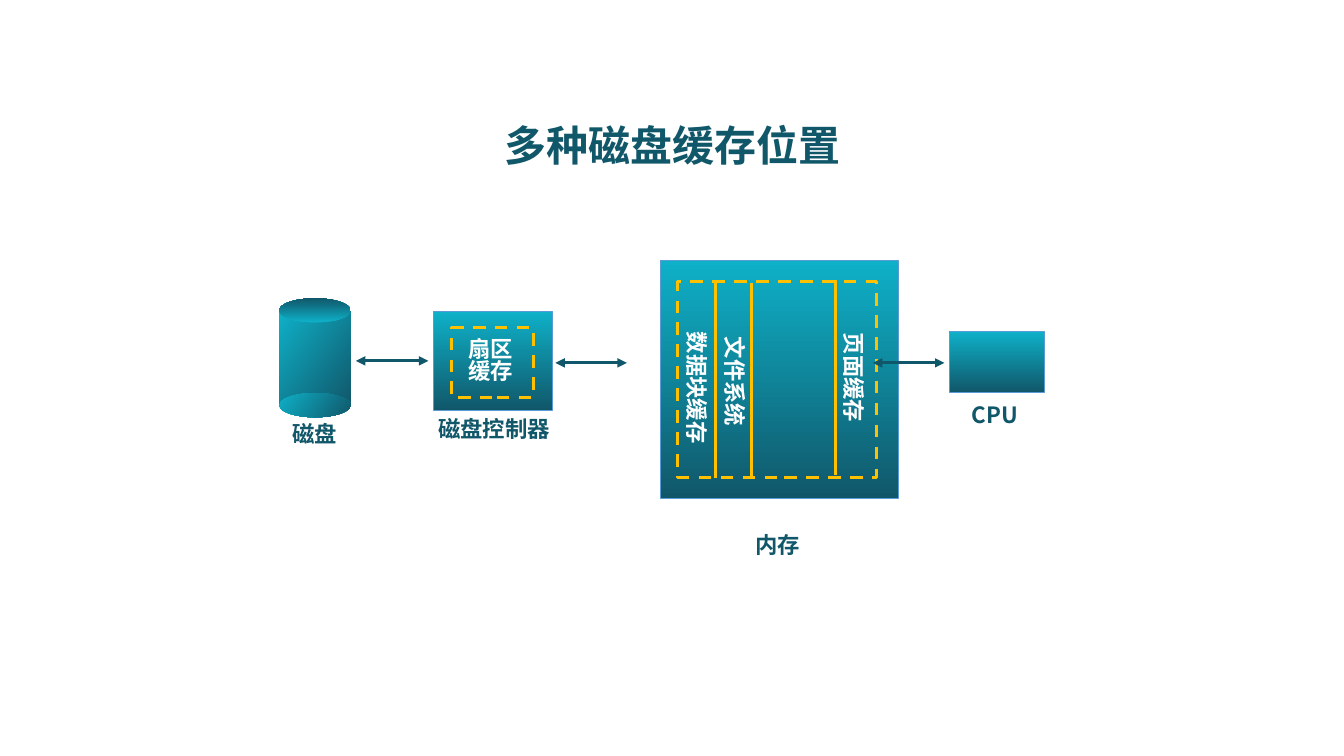
"""Build a slide showing where disk caches sit between disk and CPU."""
from dataclasses import dataclass

from lxml.etree import SubElement
from pptx import Presentation
from pptx.dml.color import RGBColor
from pptx.enum.dml import MSO_LINE_DASH_STYLE as Dash
from pptx.enum.shapes import MSO_CONNECTOR as Connector, MSO_SHAPE as Shape
from pptx.enum.text import MSO_ANCHOR as Anchor, MSO_AUTO_SIZE as AutoSize, PP_ALIGN as Align
from pptx.oxml.ns import qn
from pptx.util import Pt


@dataclass(frozen=True)
class Theme:
    """Colours, type sizes and line widths of the slide."""
    font: str = "Noto Sans CJK SC"
    dark: RGBColor = RGBColor(0x11, 0x57, 0x6A)
    light: RGBColor = RGBColor(0x0E, 0xB1, 0xC8)
    outline: RGBColor = RGBColor(0x5B, 0x9B, 0xD5)
    cache: RGBColor = RGBColor(0xFF, 0xC0, 0x00)
    white: RGBColor = RGBColor(0xFF, 0xFF, 0xFF)
    title_size: int = 30
    label_size: int = 16
    thin: float = 0.5
    thick: float = 2.25


THEME = Theme()


def points(*lengths):
    """Convert numbers to point lengths."""
    return [Pt(length) for length in lengths]


def format_paragraph(paragraph, size, color, align):
    """Apply the bold theme font to a paragraph, for Latin and Chinese text."""
    paragraph.alignment = align
    font = paragraph.font
    font.size, font.bold, font.name = Pt(size), True, THEME.font
    font.color.rgb = color
    properties = paragraph._p.pPr.find(qn("a:defRPr"))
    SubElement(properties, qn("a:ea"), typeface=THEME.font)


def add_title(slide, text, box):
    """Place and format the title placeholder."""
    title = slide.shapes.title
    title.left, title.top, title.width, title.height = points(*box)
    frame = title.text_frame
    frame.text = text
    frame.auto_size, frame.vertical_anchor = AutoSize.NONE, Anchor.MIDDLE
    format_paragraph(frame.paragraphs[0], THEME.title_size, THEME.dark, Align.CENTER)


def add_label(slide, text, box, color=THEME.dark, align=Align.LEFT, rotation=0, spacing=0.8):
    """Add a label, optionally turned to read downwards."""
    label = slide.shapes.add_textbox(*points(*box))
    label.rotation = rotation
    frame = label.text_frame
    frame.word_wrap, frame.vertical_anchor = True, Anchor.MIDDLE
    frame.text = text
    for paragraph in frame.paragraphs:
        paragraph.line_spacing = spacing
        format_paragraph(paragraph, THEME.label_size, color, align)


def add_block(slide, box, kind=Shape.RECTANGLE, angle=270, outlined=True):
    """Add a shape with the light-to-dark gradient."""
    block = slide.shapes.add_shape(kind, *points(*box))
    block.shadow.inherit = False
    block.fill.gradient()
    block.fill.gradient_angle = angle
    for stop, color in zip(block.fill.gradient_stops, (THEME.light, THEME.dark)):
        stop.color.rgb = color
    if outlined:
        block.line.color.rgb = THEME.outline
        block.line.width = Pt(THEME.thin)
    else:
        block.line.fill.background()


def add_cache_frame(slide, box):
    """Add a dashed frame around a cache."""
    frame = slide.shapes.add_shape(Shape.RECTANGLE, *points(*box))
    frame.shadow.inherit = False
    frame.fill.background()
    frame.line.color.rgb = THEME.cache
    frame.line.width = Pt(THEME.thick)
    frame.line.dash_style = Dash.DASH


def add_line(slide, ends, color, arrows=False):
    """Add a straight line, with arrowheads at both ends if asked."""
    connector = slide.shapes.add_connector(Connector.STRAIGHT, *points(*ends))
    connector.line.color.rgb = color
    connector.line.width = Pt(THEME.thick)
    properties = connector._element.spPr
    if arrows:
        for end in ("a:headEnd", "a:tailEnd"):
            SubElement(properties.find(qn("a:ln")), qn(end), type="triangle")
    SubElement(properties, qn("a:effectLst"))


def add_memory(slide):
    """Draw main memory with its cache areas."""
    add_block(slide, (471.6, 185.8, 169.9, 169.9))
    add_cache_frame(slide, (484.2, 201.2, 141.8, 139.7))
    for x, top in ((596.9, 200.2), (537.1, 202.3), (511.2, 202.3)):
        add_line(slide, (x, top, x, top + 139.3), THEME.cache)
    for text, left, top, width, align in (
        ("页面缓存", 558, 267.8, 102.2, Align.LEFT),
        ("文件系统", 457.2, 258.5, 133.9, Align.CENTER),
        ("数据块缓存", 434.9, 262.8, 124.6, Align.CENTER),
    ):
        add_label(slide, text, (left, top, width, 28.1), THEME.white, align, 90, 0.9)
    add_label(slide, "内存", (484.6, 377.3, 141.8, 26.6), align=Align.CENTER)


def add_cpu(slide):
    """Draw the processor."""
    add_label(slide, "CPU", (686.9, 283.7, 51.1, 28.1))
    add_block(slide, (678.2, 236.9, 67.7, 43.2))


def add_controller(slide):
    """Draw the disk controller with its sector cache."""
    add_block(slide, (309.6, 222.5, 85, 70.6))
    add_cache_frame(slide, (322.6, 234, 58.3, 49.7))
    add_label(slide, "磁盘控制器", (306, 293.8, 96.5, 28.1))
    add_label(slide, "扇区\n缓存", (327.6, 236, 59.8, 45.4), THEME.white)


def add_disk(slide):
    """Draw the disk as a cylinder."""
    add_label(slide, "磁盘", (201.6, 297.4, 51.1, 28.1))
    for kind, top, height, angle in (
        (Shape.RECTANGLE, 222.5, 67.7, 324),
        (Shape.OVAL, 280.8, 17.3, 324),
        (Shape.OVAL, 213.1, 17.3, 90),
    ):
        add_block(slide, (199.4, top, 51.1, height), kind, angle, outlined=False)


def main():
    """Build and save the presentation."""
    presentation = Presentation()
    presentation.slide_width, presentation.slide_height = points(960, 540)
    slide = presentation.slides.add_slide(presentation.slide_layouts[5])
    add_title(slide, "多种磁盘缓存位置", (156.2, 83.5, 648, 40.3))
    add_memory(slide)
    for left, right, y in ((396.7, 447.8, 259.2), (623.5, 674.6, 259.2), (254.2, 306, 257.8)):
        add_line(slide, (left, y, right, y), THEME.dark, arrows=True)
    add_cpu(slide)
    add_controller(slide)
    add_disk(slide)
    presentation.save("out.pptx")


if __name__ == "__main__":
    main()
